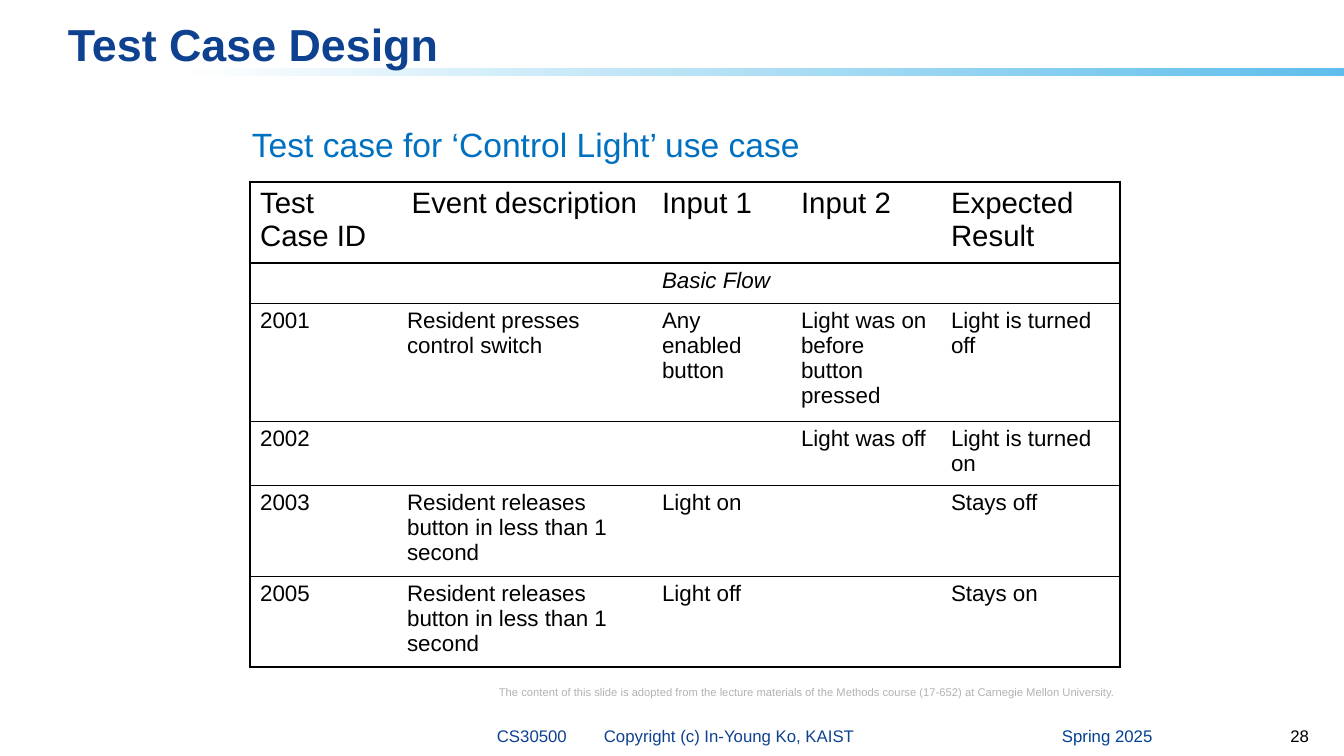
import pptx
import pptx.util
import pptx.dml.color
import pptx.enum.shapes
import pptx.enum.text
import pptx.oxml
import pptx.oxml.ns
from lxml import etree

COLORS = {
    "navy": "0F4191", "term": "004191", "blue": "0070C0", "sky": "5FBEEB",
    "white": "FFFFFF", "black": "000000", "gray": "B2B2B2",
}
FONT = "Arial"
SLIDE = (1344, 756)
RULE = (0, 68, 1344, 8)

LEFT, CENTER, RIGHT = (pptx.enum.text.PP_ALIGN.LEFT,
                       pptx.enum.text.PP_ALIGN.CENTER,
                       pptx.enum.text.PP_ALIGN.RIGHT)
TOP, MIDDLE = pptx.enum.text.MSO_ANCHOR.TOP, pptx.enum.text.MSO_ANCHOR.MIDDLE

TITLE = ("Test Case Design", (58, 13, 1228, 62), 32, "navy", LEFT, MIDDLE)
LABELS = [
    ("Spring 2025", (1052, 716, 156, 40), 12, "term", LEFT, MIDDLE),
    ("28", (1232, 716, 87, 40), 12, "black", RIGHT, MIDDLE),
    ("Test case for ‘Control Light’ use case", (242, 119, 574, 50), 24, "blue", LEFT, TOP),
    ("The content of this slide is adopted from the lecture materials of the "
     "Methods course (17-652) at Carnegie Mellon University.",
     (489, 680, 669, 23), 8, "gray", LEFT, TOP),
]
COURSE = ("CS30500\tCopyright (c) In-Young Ko, KAIST", (487, 716, 532, 40),
          12, "navy", LEFT, MIDDLE)
COURSE_TAB = 107

TABLE_AT = (250, 182)
COLS = [147, 255, 139, 150, 179]
ROW_HEIGHTS = [81, 39, 118, 64, 91, 90]
HEADER_SIZE, BODY_SIZE = 21, 16
OUTER, INNER = 2.25, 1
RELEASE = "Resident releases button in less than 1 second"
ROWS = [
    ["Test Case ID", "Event description", "Input 1", "Input 2", "Expected Result"],
    ["", "", "Basic Flow", "", ""],
    ["2001", "Resident presses control switch", "Any enabled button",
     "Light was on before button pressed", "Light is turned off"],
    ["2002", "", "", "Light was off", "Light is turned on"],
    ["2003", RELEASE, "Light on", "", "Stays off"],
    ["2005", RELEASE, "Light off", "", "Stays on"],
]


def px(n):
    return pptx.util.Emu(round(n * 914400 / 100.8))


def rgb(name):
    return pptx.dml.color.RGBColor.from_string(COLORS[name])


def add_run(p, text, size, color, bold=False, italic=False):
    r = p.add_run()
    r.text = text
    r.font.name = FONT
    r.font.size = pptx.util.Pt(size)
    r.font.bold = bold
    r.font.italic = italic
    r.font.color.rgb = rgb(color)


def add_label(s, text, box, size, color, align, anchor, bold=False):
    tf = s.shapes.add_textbox(*map(px, box)).text_frame
    tf.word_wrap = True
    tf.vertical_anchor = anchor
    p = tf.paragraphs[0]
    p.alignment = align
    add_run(p, text, size, color, bold)
    return p


def add_rule(s):
    sp = s.shapes.add_shape(pptx.enum.shapes.MSO_SHAPE.RECTANGLE, *map(px, RULE))
    sp.shadow.inherit = False
    sp.line.fill.background()
    sp.fill.gradient()
    sp.fill.gradient_angle = 180
    for stop, (pos, color) in zip(sp.fill.gradient_stops, [(0, "sky"), (0.87, "white")]):
        stop.position = pos
        stop.color.rgb = rgb(color)


def set_borders(cell, widths):
    tcPr = cell._tc.get_or_add_tcPr()
    for side, width in widths.items():
        ln = etree.SubElement(tcPr, pptx.oxml.ns.qn("a:ln" + side))
        if width:
            ln.set("w", str(pptx.util.Pt(width)))
            fill = etree.SubElement(ln, pptx.oxml.ns.qn("a:solidFill"))
            etree.SubElement(fill, pptx.oxml.ns.qn("a:srgbClr"), val=COLORS["black"])
        else:
            etree.SubElement(ln, pptx.oxml.ns.qn("a:noFill"))


def add_test_table(s):
    size = (sum(COLS), sum(ROW_HEIGHTS))
    table = s.shapes.add_table(len(ROWS), len(COLS), *map(px, TABLE_AT + size)).table
    table.first_row = table.horz_banding = False
    for col, width in zip(table.columns, COLS):
        col.width = px(width)
    last_row, last_col = len(ROWS) - 1, len(COLS) - 1
    for i, row in enumerate(ROWS):
        table.rows[i].height = px(ROW_HEIGHTS[i])
        for j, text in enumerate(row):
            cell = table.cell(i, j)
            set_borders(cell, {
                "L": OUTER if j == 0 else 0,
                "R": OUTER if j == last_col else 0,
                "T": OUTER if i == 0 else INNER,
                "B": OUTER if i == last_row else INNER,
            })
            cell.fill.background()
            p = cell.text_frame.paragraphs[0]
            p.alignment = CENTER if (i, j) == (0, 1) else LEFT
            if text:
                add_run(p, text, BODY_SIZE if i else HEADER_SIZE, "black", italic=i == 1)


def main():
    prs = pptx.Presentation()
    prs.slide_width, prs.slide_height = map(px, SLIDE)
    s = prs.slides.add_slide(prs.slide_layouts[6])
    add_rule(s)
    add_label(s, *TITLE, bold=True)
    add_test_table(s)
    for label in LABELS:
        add_label(s, *label)
    p = add_label(s, *COURSE)
    tabs = etree.SubElement(p._p.get_or_add_pPr(), pptx.oxml.ns.qn("a:tabLst"))
    etree.SubElement(tabs, pptx.oxml.ns.qn("a:tab"), pos=str(px(COURSE_TAB)), algn="l")
    prs.save("out.pptx")


if __name__ == "__main__":
    main()
